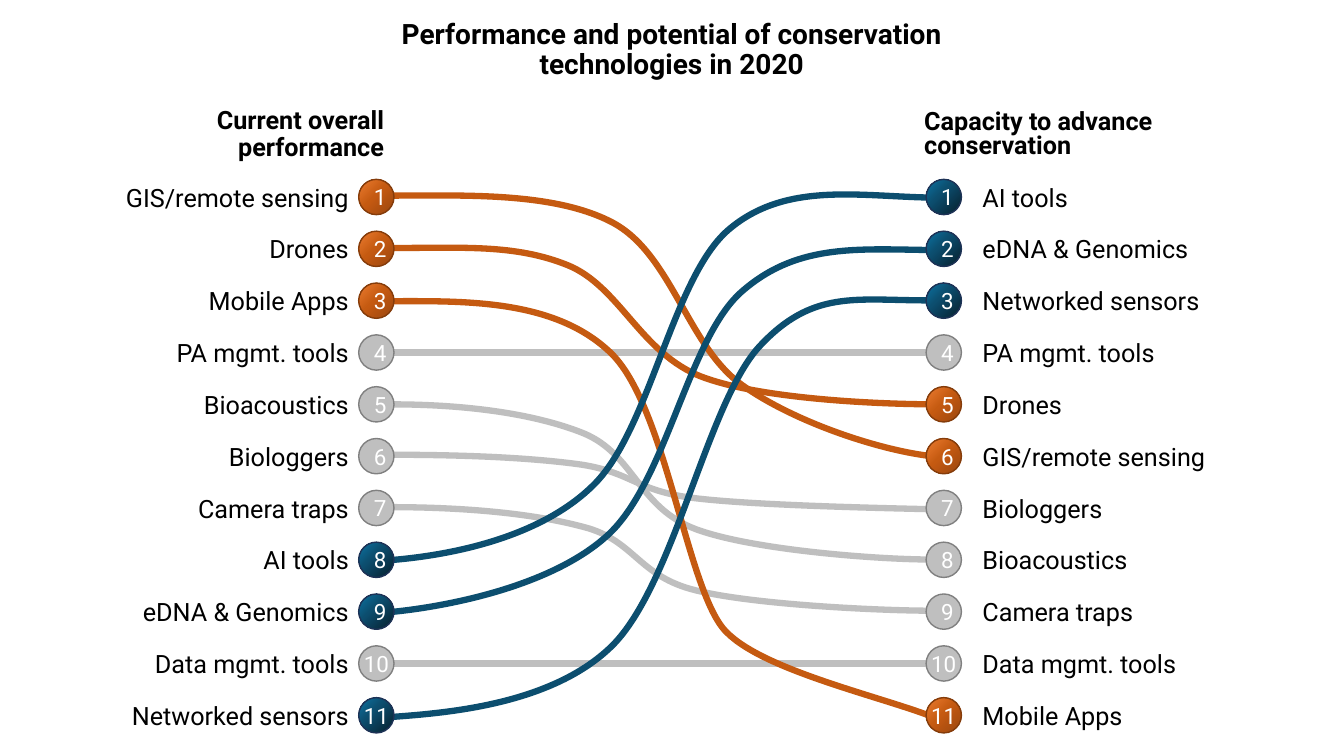
from dataclasses import dataclass

from lxml.etree import SubElement
from pptx import Presentation
from pptx.dml.color import RGBColor
from pptx.enum.shapes import MSO_CONNECTOR as CONN, MSO_SHAPE as SHAPE
from pptx.enum.text import MSO_ANCHOR as ANCHOR, MSO_AUTO_SIZE as FIT, PP_ALIGN as ALIGN
from pptx.oxml import parse_xml
from pptx.oxml.ns import nsdecls, qn
from pptx.util import Cm, Pt


@dataclass(frozen=True)
class Tone:
    line: str
    edge: str
    stops: tuple = ()  # (position in percent, colour); empty means a plain fill


@dataclass(frozen=True)
class Theme:
    font: str = "Roboto"
    ink: str = "000000"
    paper: str = "FFFFFF"
    title: int = 20
    label: int = 18
    number: int = 16
    curve: float = 4.5
    grey: Tone = Tone("BFBFBF", "808080")
    orange: Tone = Tone("C55A11", "843C0B",
                        ((0, "ED7D31"), (46, "C55A11"), (100, "99460F")))
    blue: Tone = Tone("0C4E6F", "1E3256",
                      ((0, "0C74A3"), (40, "0C4E6F"), (100, "071F2C")))


THEME = Theme()

# Rankings, best first
PERFORMANCE = ["GIS/remote sensing", "Drones", "Mobile Apps", "PA mgmt. tools",
               "Bioacoustics", "Biologgers", "Camera traps", "AI tools",
               "eDNA & Genomics", "Data mgmt. tools", "Networked sensors"]
CAPACITY = ["AI tools", "eDNA & Genomics", "Networked sensors", "PA mgmt. tools",
            "Drones", "GIS/remote sensing", "Biologgers", "Bioacoustics",
            "Camera traps", "Data mgmt. tools", "Mobile Apps"]
FALLING = PERFORMANCE[:3]
RISING = CAPACITY[:3]
UNCHANGED = ["PA mgmt. tools", "Data mgmt. tools"]

# Grid in centimetres
TOP, PITCH, DOT = 4.52, 13.06 / 10, 0.89
LEFT_DOT, RIGHT_DOT = 9.04, 23.34
LEFT_LABEL, RIGHT_LABEL = 1.27, 24.51
LABEL_W, LABEL_H, LABEL_RISE = 7.77, 1.02, 0.06

# Bezier curves: a start point, then three points for each segment
CURVES = {
    "Bioacoustics": [(9.86, 10.19), (11.68, 10.19), (13.44, 10.41), (14.71, 10.92),
                     (16, 11.46), (16.08, 12.8), (17.55, 13.34),
                     (19, 13.87), (22.17, 14.1), (23.47, 14.1)],
    "Biologgers": [(9.86, 11.46), (11.66, 11.46), (13.39, 11.53), (14.66, 11.71),
                   (15.93, 11.91), (16.03, 12.37), (17.48, 12.55),
                   (18.92, 12.73), (22.07, 12.8), (23.34, 12.83)],
    "Camera traps": [(9.83, 12.78), (11.66, 12.78), (13.41, 12.93), (14.71, 13.28),
                     (16, 13.61), (16.08, 14.53), (17.55, 14.88),
                     (19, 15.24), (22.2, 15.39), (23.5, 15.39)],
    "GIS/remote sensing": [(9.86, 4.93), (11.68, 4.93), (13.97, 4.83), (15.44, 5.61),
                           (16.92, 6.4), (17.32, 8.69), (18.67, 9.68),
                           (20.04, 10.67), (22.33, 11.4), (23.62, 11.51)],
    "Drones": [(9.86, 6.25), (11.68, 6.25), (12.98, 6.15), (14.3, 6.68),
               (15.62, 7.21), (16.15, 8.92), (17.7, 9.5),
               (19.25, 10.08), (22.33, 10.19), (23.62, 10.19)],
    "Mobile Apps": [(9.86, 7.59), (11.68, 7.59), (14, 7.52), (15.42, 8.92),
                    (16.81, 10.31), (17.32, 14.96), (18.31, 15.93),
                    (19.28, 16.92), (22.33, 17.58), (23.62, 18.11)],
    "AI tools": [(23.47, 4.98), (21.64, 4.95), (19.79, 4.57), (18.36, 5.79),
                 (16.94, 7.01), (16.38, 10.85), (14.94, 12.24),
                 (13.51, 13.64), (11.1, 14.02), (9.78, 14.12)],
    "eDNA & Genomics": [(23.34, 6.3), (21.49, 6.27), (20.02, 6.17), (18.67, 7.37),
                        (17.32, 8.59), (16.79, 12.17), (15.29, 13.51),
                        (13.79, 14.86), (10.95, 15.34), (9.65, 15.44)],
    "Networked sensors": [(23.39, 7.57), (21.56, 7.57), (20.47, 7.29), (19.13, 8.74),
                          (17.81, 10.19), (16.99, 14.73), (15.42, 16.28),
                          (13.84, 17.83), (11.02, 17.98), (9.7, 18.08)],
}


def tone_of(name):
    if name in FALLING:
        return THEME.orange
    return THEME.blue if name in RISING else THEME.grey


def write(tf, text, *, size, color=THEME.ink, bold=False, align=ALIGN.LEFT,
          spacing=None, anchor=ANCHOR.TOP, wrap=True, fit=FIT.NONE):
    tf.word_wrap, tf.auto_size, tf.vertical_anchor = wrap, fit, anchor
    p = tf.paragraphs[0]
    p.alignment, p.line_spacing = align, spacing
    r = p.add_run()
    r.text = text
    r.font.name, r.font.size, r.font.bold = THEME.font, Pt(size), bold
    r.font.color.rgb = RGBColor.from_string(color)


class Chart:
    def __init__(self, prs, theme):
        self.theme = theme
        self.slide = prs.slides.add_slide(prs.slide_layouts[5])
        self.shapes = self.slide.shapes

    def title(self, text, x, y, w, h):
        sp = self.shapes.title
        sp.left, sp.top, sp.width, sp.height = Cm(x), Cm(y), Cm(w), Cm(h)
        write(sp.text_frame, text, size=self.theme.title, bold=True,
              align=ALIGN.CENTER, spacing=0.9)

    def text(self, text, x, y, w, h, **fmt):
        sp = self.shapes.add_textbox(Cm(x), Cm(y), Cm(w), Cm(h))
        write(sp.text_frame, text, size=self.theme.label, **fmt)

    def stroke(self, sp, color, width):
        sp.line.color.rgb = RGBColor.from_string(color)
        sp.line.width = Pt(width)

    def level(self, x1, x2, y, tone):
        s = self.shapes.add_connector(CONN.STRAIGHT, Cm(x1), Cm(y), Cm(x2), Cm(y))
        self.stroke(s, tone.line, self.theme.curve)
        SubElement(s._element.spPr, qn("a:effectLst"))

    def curve(self, points, tone):
        start, *rest = [(Cm(x), Cm(y)) for x, y in points]
        fb = self.shapes.build_freeform(*start)
        fb.add_line_segments(rest, close=False)
        sp = fb.convert_to_shape()
        # Turn every three straight steps into one Bezier segment
        path = next(sp._element.iter(qn("a:path")))
        steps = path.findall(qn("a:lnTo"))
        for i in range(0, len(steps), 3):
            bezier = SubElement(path, qn("a:cubicBezTo"))
            for step in steps[i:i + 3]:
                bezier.append(step[0])
                path.remove(step)
        sp.fill.background()
        sp.shadow.inherit = False
        self.stroke(sp, tone.line, self.theme.curve)

    def dot(self, number, x, y, tone):
        sp = self.shapes.add_shape(SHAPE.OVAL, Cm(x), Cm(y), Cm(DOT), Cm(DOT))
        sp.shadow.inherit = False
        self.stroke(sp, tone.edge, 1)
        if tone.stops:
            self.radial_fill(sp, tone.stops)
        else:
            sp.fill.solid()
            sp.fill.fore_color.rgb = RGBColor.from_string(tone.line)
        write(sp.text_frame, str(number), size=self.theme.number,
              color=self.theme.paper, align=ALIGN.CENTER, anchor=ANCHOR.MIDDLE,
              wrap=number < 10)

    def radial_fill(self, sp, stops):
        gs = "".join(f'<a:gs pos="{pos * 1000}"><a:srgbClr val="{color}"/></a:gs>'
                     for pos, color in stops)
        grad = parse_xml(
            f'<a:gradFill {nsdecls("a")} rotWithShape="1"><a:gsLst>{gs}</a:gsLst>'
            '<a:path path="circle"><a:fillToRect r="100000" b="100000"/></a:path>'
            '</a:gradFill>')
        sp.fill.background()
        spPr = sp._element.spPr
        spPr.replace(spPr.find(qn("a:noFill")), grad)

    def ranking(self, names, dot_x, label_x, align):
        for i, name in enumerate(names):
            y = TOP + i * PITCH
            self.dot(i + 1, dot_x, y, tone_of(name))
            self.text(name, label_x, y - LABEL_RISE, LABEL_W, LABEL_H,
                      align=align, fit=FIT.SHAPE_TO_FIT_TEXT)


def main():
    prs = Presentation()
    prs.slide_width, prs.slide_height = Cm(33.87), Cm(19.05)
    chart = Chart(prs, THEME)

    # Title and column headings
    chart.title("Performance and potential of conservation technologies in 2020",
                9.78, 0.38, 14.3, 1.52)
    chart.text("Current overall performance", 1.65, 2.59, 8.28, 1.52,
               bold=True, align=ALIGN.RIGHT, spacing=0.9)
    chart.text("Capacity to advance conservation", 23.04, 2.67, 9.58, 1.52,
               bold=True, spacing=0.8)

    # Links between the two rankings
    for name in UNCHANGED:
        y = TOP + PERFORMANCE.index(name) * PITCH + DOT / 2
        chart.level(LEFT_DOT + DOT, RIGHT_DOT, y, tone_of(name))
    for name, points in CURVES.items():
        chart.curve(points, tone_of(name))

    # Numbered dots and labels
    chart.ranking(PERFORMANCE, LEFT_DOT, LEFT_LABEL, ALIGN.RIGHT)
    chart.ranking(CAPACITY, RIGHT_DOT, RIGHT_LABEL, ALIGN.LEFT)
    prs.save("out.pptx")


if __name__ == "__main__":
    main()
